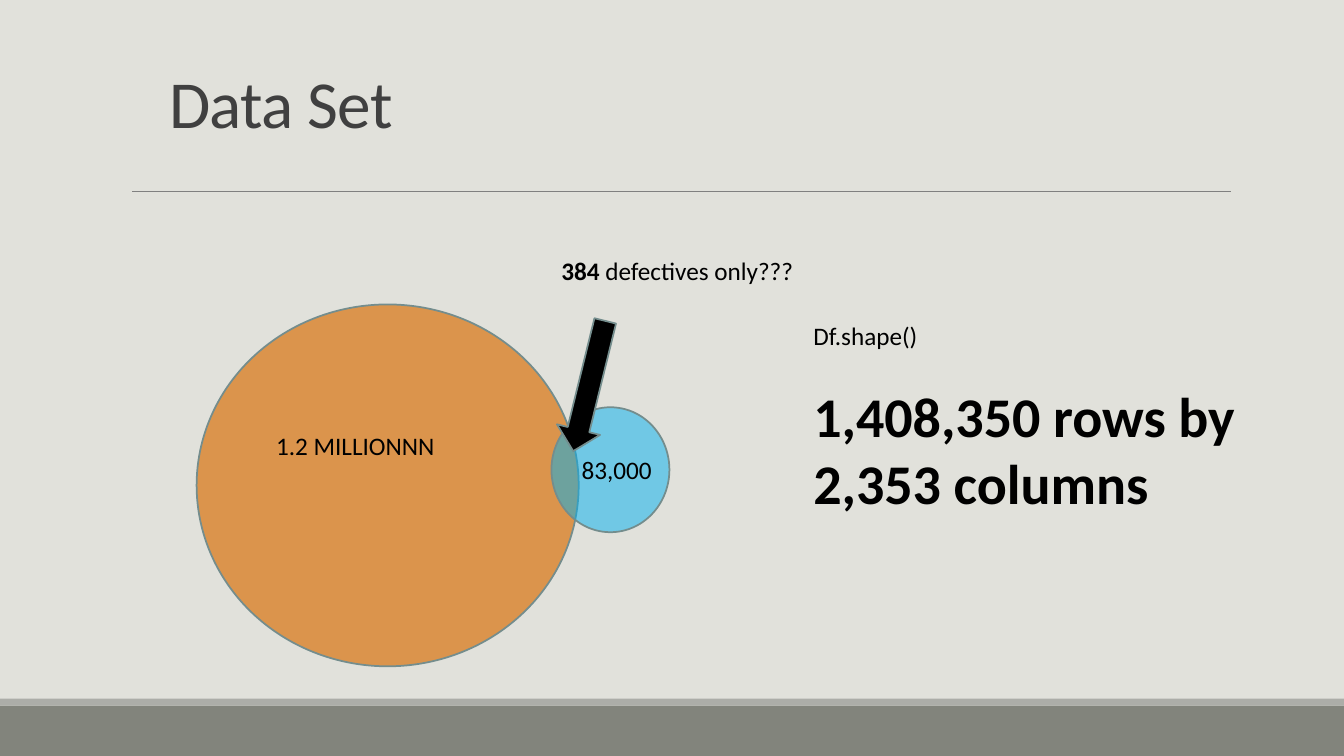
from dataclasses import dataclass

from pptx import Presentation
from pptx.dml.color import RGBColor
from pptx.enum.shapes import MSO_CONNECTOR, MSO_SHAPE
from pptx.enum.text import MSO_ANCHOR
from pptx.oxml.ns import qn
from pptx.util import Inches, Pt
from lxml import etree

RECTANGLE = MSO_SHAPE.RECTANGLE
ELLIPSE = MSO_SHAPE.OVAL
ARROW = MSO_SHAPE.RIGHT_ARROW
STRAIGHT = MSO_CONNECTOR.STRAIGHT
TOP = MSO_ANCHOR.TOP
BOTTOM = MSO_ANCHOR.BOTTOM

SLIDE_WIDTH = Inches(13.333)
SLIDE_HEIGHT = Inches(7.5)


@dataclass(frozen=True)
class Theme:
    """Colours, font and type sizes of the slide."""
    background: str = "E1E1DB"
    footer: str = "82847C"
    footer_edge: str = "ACADA8"
    rule: str = "808080"
    title: str = "404040"
    ink: str = "000000"
    outline: str = "748D8D"
    majority: str = "DB8631"
    minority: str = "00B0F0"
    font: str = "Calibri"
    title_size: float = 48
    body_size: float = 18
    figure_size: float = 40
    outline_width: float = 1.25
    rule_width: float = 0.5


THEME = Theme()


def color(code):
    """Turn a hex code into a colour."""
    return RGBColor.from_string(code)


def across(percent):
    """Return a share of the slide width."""
    return round(SLIDE_WIDTH * percent / 100)


def down(percent):
    """Return a share of the slide height."""
    return round(SLIDE_HEIGHT * percent / 100)


def place(left, top, width, height):
    """Convert a box in percent of the slide to lengths."""
    return across(left), down(top), across(width), down(height)


def add_figure(page, kind, area, fill, outline=None, opacity=100, rotation=0):
    """Draw a filled preset shape."""
    figure = page.shapes.add_shape(kind, *place(*area))
    figure.shadow.inherit = False
    figure.rotation = rotation
    figure.fill.solid()
    figure.fill.fore_color.rgb = color(fill)
    if opacity < 100:
        fill_color = figure._element.spPr.find(qn("a:solidFill"))[0]
        etree.SubElement(fill_color, qn("a:alpha"), val=str(opacity * 1000))
    if outline:
        figure.line.color.rgb = color(outline)
        figure.line.width = Pt(THEME.outline_width)
    else:
        figure.line.fill.background()


def add_rule(page, left, right, top):
    """Draw the thin line under the title."""
    rule = page.shapes.add_connector(
        STRAIGHT, across(left), down(top), across(right), down(top))
    rule.line.color.rgb = color(THEME.rule)
    rule.line.width = Pt(THEME.rule_width)
    etree.SubElement(rule._element.spPr, qn("a:effectLst"))


def add_span(para, text, size=THEME.body_size, ink=THEME.ink, bold=False, tracking=0):
    """Append formatted text to a paragraph."""
    span = para.add_run()
    span.text = text
    span.font.name = THEME.font
    span.font.size = Pt(size)
    span.font.bold = bold
    span.font.color.rgb = color(ink)
    if tracking:
        span.font._element.set("spc", str(round(tracking * 100)))


def add_box(page, area, anchor=TOP):
    """Add a wrapping text box and return its text frame."""
    frame = page.shapes.add_textbox(*place(*area)).text_frame
    frame.word_wrap = True
    frame.vertical_anchor = anchor
    return frame


def add_label(page, area, text):
    """Add a one-line label in body type."""
    add_span(add_box(page, area).paragraphs[0], text)


def add_title(page, text):
    """Add the slide title."""
    para = add_box(page, (11.85, 4.13, 78.75, 15.33), BOTTOM).paragraphs[0]
    para.line_spacing = 0.85
    add_span(para, text, size=THEME.title_size, ink=THEME.title, tracking=-0.5)


def add_frame(page):
    """Draw the background, footer bands and title rule."""
    page.background.fill.solid()
    page.background.fill.fore_color.rgb = color(THEME.background)
    add_figure(page, RECTANGLE, (0, 93.33, 100, 6.67), THEME.footer)
    add_figure(page, RECTANGLE, (0, 92.4, 100, 0.93), THEME.footer_edge)
    add_rule(page, 9.83, 91.58, 25.33)


def add_overlap(page):
    """Draw the two overlapping groups with their labels."""
    add_figure(page, ELLIPSE, (14.63, 40.27, 28.43, 47.87), THEME.majority,
               outline=THEME.outline, opacity=84)
    add_figure(page, ELLIPSE, (41.03, 53.87, 8.78, 16.53), THEME.minority,
               outline=THEME.outline, opacity=50)
    add_figure(page, ARROW, (38.85, 48.13, 9.98, 5.87), THEME.ink,
               outline=THEME.outline, rotation=103.8)
    callout = add_box(page, (41.03, 33.07, 26.4, 5.33)).paragraphs[0]
    add_span(callout, "384", bold=True)
    add_span(callout, " defectives only???")
    add_label(page, (19.8, 56.27, 16.35, 5.33), "1.2 MILLIONNN")
    add_label(page, (42.53, 59.47, 9.9, 5.33), "83,000")


def add_dimensions(page):
    """Add the size of the data set."""
    frame = add_box(page, (59.78, 41.73, 35.25, 27.33))
    add_span(frame.paragraphs[0], "Df.shape()")
    para = frame.add_paragraph()
    para.space_before = Pt(22)
    add_span(para, "1,408,350 rows by 2,353 columns",
             size=THEME.figure_size, bold=True)


def main():
    """Build the deck and save it."""
    deck = Presentation()
    deck.slide_width = SLIDE_WIDTH
    deck.slide_height = SLIDE_HEIGHT
    page = deck.slides.add_slide(deck.slide_layouts[6])
    add_frame(page)
    add_title(page, "Data Set")
    add_overlap(page)
    add_dimensions(page)
    deck.save("out.pptx")


if __name__ == "__main__":
    main()
